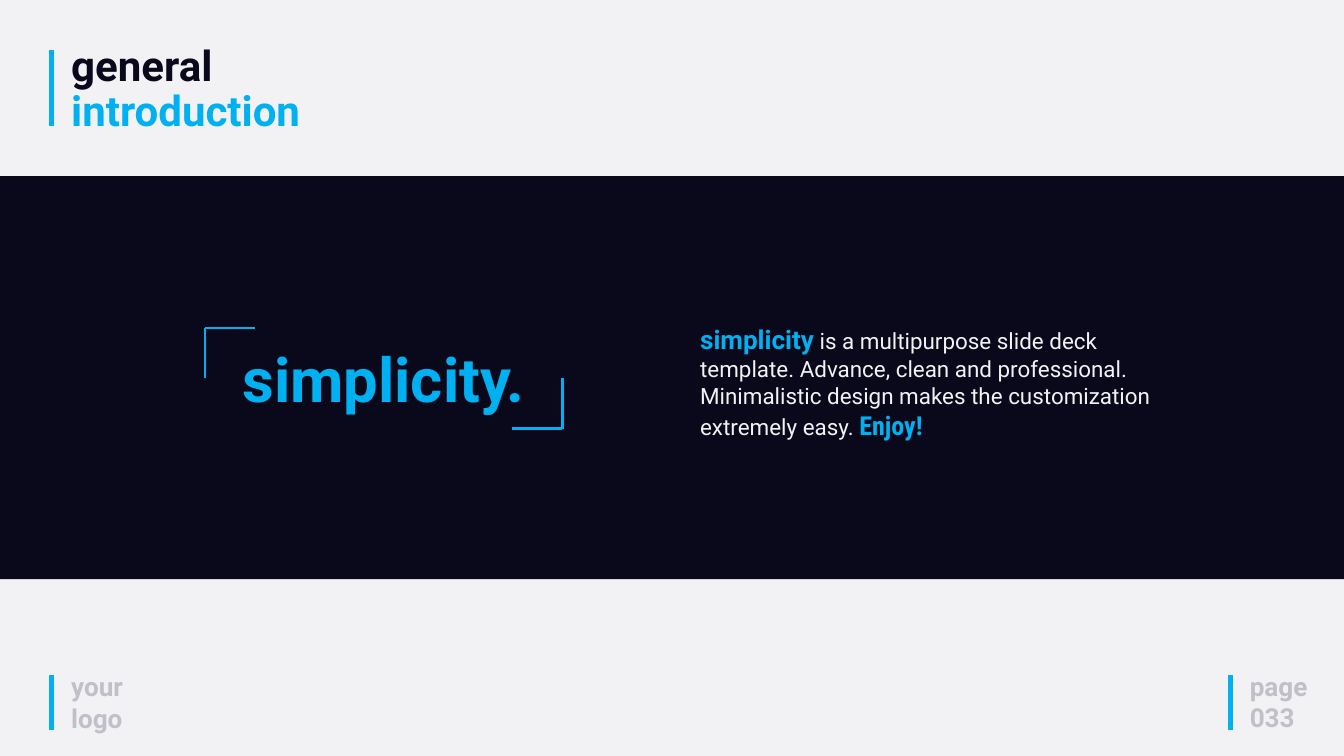
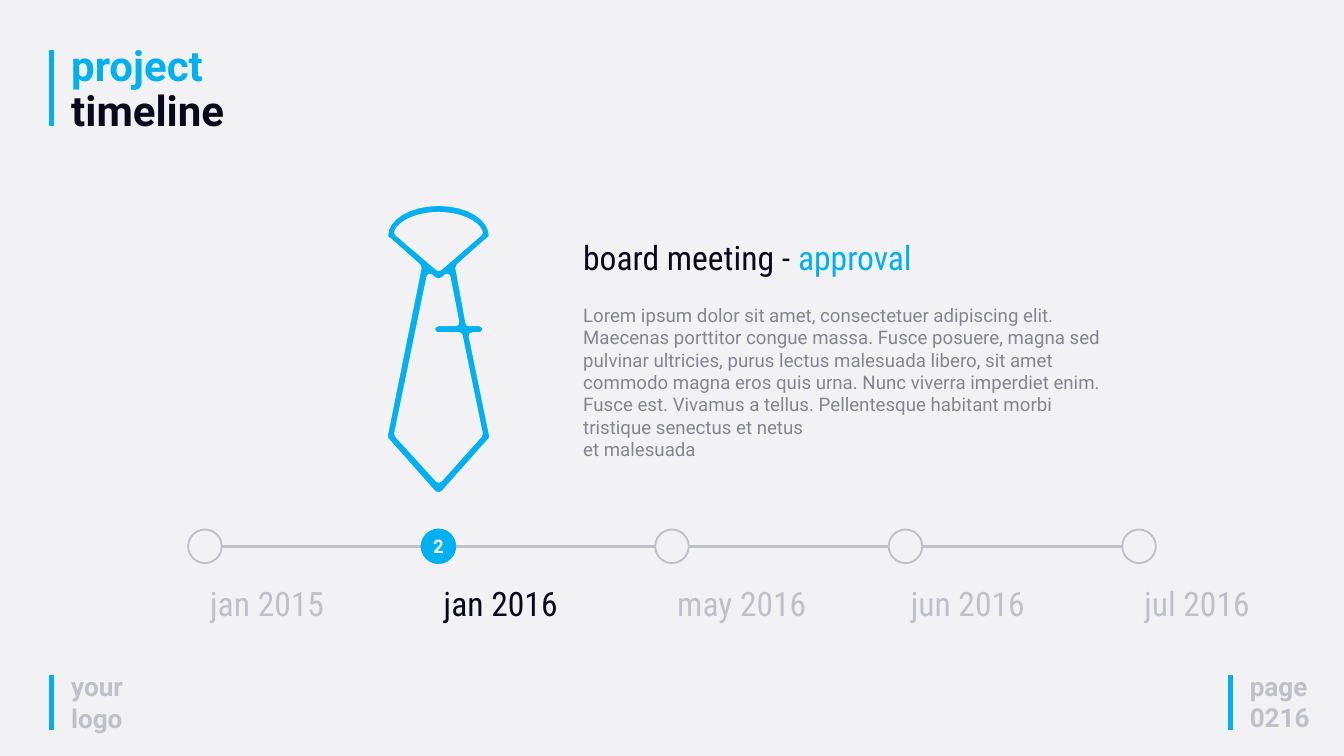
from lxml import etree
from pptx import Presentation
from pptx.dml.color import RGBColor
from pptx.enum.shapes import MSO_CONNECTOR, MSO_SHAPE
from pptx.enum.text import MSO_ANCHOR, MSO_AUTO_SIZE, PP_ALIGN
from pptx.oxml.ns import qn
from pptx.util import Inches, Pt

STRAIGHT = MSO_CONNECTOR.STRAIGHT
RECTANGLE, OVAL = MSO_SHAPE.RECTANGLE, MSO_SHAPE.OVAL
TOP, MIDDLE = MSO_ANCHOR.TOP, MSO_ANCHOR.MIDDLE
LEFT, CENTER = PP_ALIGN.LEFT, PP_ALIGN.CENTER
GROW = MSO_AUTO_SIZE.SHAPE_TO_FIT_TEXT

COLORS = {
    "accent": "00B0F0",
    "dark": "0A091B",
    "light": "F2F2F5",
    "muted": "C0C0C8",
    "body": "858591",
}
SANS, CONDENSED = "Roboto", "Roboto Condensed"
TITLE_ONLY = 5

# Each paragraph is a list of spans: (text, format that differs from the box).
INTRO = {
    "title": [("general", "dark"), ("introduction", "accent")],
    "title_box": (0.96, 0.62, 5.96, 1.46),
    "page": "033",
    "wordmark": "simplicity.",
    "pitch": [[
        ("simplicity", dict(size=28, color="accent", bold=True)),
        (" is a multipurpose slide deck template. Advance, clean and professional. "
         "Minimalistic design makes the customization extremely easy. ", {}),
        ("Enjoy!", dict(size=28, font=CONDENSED, color="accent", bold=True)),
    ]],
}
TIMELINE = {
    "title": [("project", "accent"), ("timeline", "dark")],
    "title_box": (0.96, 0.62, 9.04, 0.78),
    "page": "0216",
    "heading": [[("board meeting - ", {}), ("approval", dict(color="accent"))]],
    "details": [
        [("Lorem ipsum dolor sit amet, consectetuer adipiscing elit. Maecenas "
          "porttitor congue massa. Fusce posuere, magna sed pulvinar ultricies, "
          "purus lectus malesuada libero, sit amet commodo magna eros quis urna. "
          "Nunc viverra imperdiet enim. Fusce est. Vivamus a tellus. Pellentesque "
          "habitant morbi tristique senectus et netus", {})],
        [("et malesuada", {})],
    ],
    "dates": ["jan 2015", "jan 2016", "may 2016", "jun 2016", "jul 2016"],
    "active": 1,
}

# Contours in inches: a pair is a corner, six numbers are a cubic curve.
TIE = [
    [(7.33, 6.46), (7.03, 5), (7.13, 5),
     (7.18, 5, 7.23, 4.95, 7.23, 4.9), (7.23, 4.85, 7.18, 4.8, 7.13, 4.8),
     (6.98, 4.8), (6.83, 3.98), (7.28, 3.58), (7.31, 3.58, 7.33, 3.53, 7.33, 3.51),
     (7.33, 3.23, 6.98, 3.01, 6.53, 3.01), (6.07, 3.01, 5.72, 3.23, 5.72, 3.51),
     (5.72, 3.53, 5.74, 3.58, 5.77, 3.58), (6.22, 3.98), (5.72, 6.46), (5.72, 6.49),
     (5.72, 6.51, 5.72, 6.54, 5.74, 6.56), (6.45, 7.36),
     (6.47, 7.36, 6.5, 7.38, 6.53, 7.38), (6.55, 7.38, 6.58, 7.36, 6.6, 7.36),
     (7.31, 6.56), (7.33, 6.54, 7.33, 6.51, 7.33, 6.49)],
    [(5.92, 3.46), (5.97, 3.33, 6.22, 3.21, 6.53, 3.21),
     (6.83, 3.21, 7.08, 3.33, 7.13, 3.46), (6.53, 3.98)],
    [(6.53, 7.13), (5.92, 6.46), (6.4, 4.13), (6.45, 4.18), (6.47, 4.18),
     (6.5, 4.2, 6.5, 4.2, 6.53, 4.2), (6.55, 4.2, 6.55, 4.2, 6.58, 4.18),
     (6.6, 4.18), (6.65, 4.13), (6.78, 4.8), (6.53, 4.8),
     (6.47, 4.8, 6.42, 4.85, 6.42, 4.9), (6.42, 4.95, 6.47, 5, 6.53, 5),
     (6.83, 5), (7.13, 6.46)],
]
CURVE_STEPS = 8


def rgb(name):
    return RGBColor.from_string(COLORS[name])


def inches(values):
    return [Inches(value) for value in values]


def format_font(font, size, color, name, bold):
    font.size, font.name, font.bold = Pt(size), name, bold
    font.color.rgb = rgb(color)


def write_text(frame, paragraphs, size=24, color="dark", font=SANS, bold=False,
               align=LEFT, anchor=TOP):
    frame.word_wrap = True
    frame.vertical_anchor = anchor
    for index, spans in enumerate(paragraphs):
        para = frame.add_paragraph() if index else frame.paragraphs[0]
        para.alignment = align
        for text, changes in spans:
            look = {"size": size, "color": color, "font": font, "bold": bold, **changes}
            span = para.add_run()
            span.text = text
            format_font(span.font, look["size"], look["color"], look["font"], look["bold"])


def add_text(slide, box, paragraphs, **look):
    frame = slide.shapes.add_textbox(*inches(box)).text_frame
    write_text(frame, paragraphs, **look)
    frame.auto_size = GROW


def add_line(slide, start, end, color="accent", width=5):
    line = slide.shapes.add_connector(STRAIGHT, *inches(start + end))
    line.line.color.rgb = rgb(color)
    line.line.width = Pt(width)
    etree.SubElement(line._element.spPr, qn("a:effectLst"))


def style_shape(shape, fill, outline=None, width=2):
    shape.shadow.inherit = False
    shape.fill.solid()
    shape.fill.fore_color.rgb = rgb(fill)
    if outline:
        shape.line.color.rgb = rgb(outline)
        shape.line.width = Pt(width)
    else:
        shape.line.fill.background()


def flatten(contour):
    """Turn the cubic curves of a contour into short straight steps."""
    points = []
    for part in contour:
        if len(part) == 2:
            points.append(part)
            continue
        knots = [points[-1], part[:2], part[2:4], part[4:]]
        for step in range(1, CURVE_STEPS + 1):
            t = step / CURVE_STEPS
            weights = ((1 - t) ** 3, 3 * t * (1 - t) ** 2, 3 * t * t * (1 - t), t ** 3)
            points.append(tuple(sum(weight * knot[axis] for weight, knot in zip(weights, knots))
                                for axis in (0, 1)))
    return points


def add_tie(slide):
    # The builder rounds to whole units, so the points are given in EMU.
    outlines = [[inches(point) for point in flatten(contour)] for contour in TIE]
    builder = slide.shapes.build_freeform(*outlines[0][0], scale=1.0)
    for index, points in enumerate(outlines):
        if index:
            builder.move_to(*points[0])
        builder.add_line_segments(points[1:], close=True)
    style_shape(builder.convert_to_shape(), "accent", "light", 8)


def start_slide(deck, content):
    """Add a slide with its title, accent bars and footers."""
    slide = deck.slides.add_slide(deck.slide_layouts[TITLE_ONLY])
    title = slide.shapes.title
    title.left, title.top, title.width, title.height = inches(content["title_box"])
    (first, first_color), (second, second_color) = content["title"]
    look = dict(size=45, bold=True)
    write_text(title.text_frame, [[(first, dict(color=first_color))]], **look)
    para = title.text_frame.paragraphs[0]
    para.line_spacing = 0.9
    para.add_line_break()
    span = para.add_run()
    span.text = second
    format_font(span.font, 45, second_color, SANS, True)
    title.text_frame.auto_size = GROW

    for x, top, bottom in [(0.77, 0.75, 1.88), (0.77, 10.05, 10.86), (18.31, 10.05, 10.86)]:
        add_line(slide, (x, top), (x, bottom))
    footer = dict(size=28, color="muted", bold=True)
    add_text(slide, (0.96, 9.93, 1.19, 1.04), [[("your logo", {})]], **footer)
    add_text(slide, (18.5, 9.92, 1.9, 1.04),
             [[("page", {})], [(content["page"], {})]], **footer)
    return slide


def build_intro(deck):
    slide = start_slide(deck, INTRO)
    band = slide.shapes.add_shape(RECTANGLE, *inches((0, 2.62, 20, 6)))
    style_shape(band, "dark")
    add_text(slide, (10.32, 4.77, 7.04, 1.85), INTRO["pitch"], color="light")
    add_text(slide, (3.21, 5.02, 4.99, 1.21), [[(INTRO["wordmark"], {})]],
             size=66, color="accent", bold=True, align=CENTER)
    for x, y, arm in [(3.05, 4.88, 0.75), (8.37, 6.38, -0.75)]:
        add_line(slide, (x, y + arm), (x, y), width=3)
        add_line(slide, (x, y), (x + arm, y), width=3)


def build_timeline(deck):
    slide = start_slide(deck, TIMELINE)
    add_text(slide, (8.58, 3.47, 7.97, 0.71), TIMELINE["heading"], size=36, font=CONDENSED)
    add_text(slide, (8.58, 4.47, 8.12, 2.46), TIMELINE["details"], size=20, color="body")

    left, right, axis, dot = 2.8, 16.7, 8.13, 0.5
    dates = TIMELINE["dates"]
    gap = (right - left) / (len(dates) - 1)
    add_line(slide, (left + dot, axis), (right, axis), color="muted", width=3)
    for index, date in enumerate(dates):
        active = index == TIMELINE["active"]
        x = left + index * gap
        circle = slide.shapes.add_shape(OVAL, *inches((x, axis - dot / 2, dot, dot)))
        style_shape(circle, "accent" if active else "light", "accent" if active else "muted")
        if active:
            frame = circle.text_frame
            frame.margin_left = frame.margin_right = frame.margin_top = frame.margin_bottom = 0
            write_text(frame, [[(str(index + 1), {})]], size=20, color="light",
                       bold=True, align=CENTER, anchor=MIDDLE)
        add_text(slide, (x + 0.23, 8.62, 2.33, 0.71), [[(date, {})]], size=36,
                 font=CONDENSED, color="dark" if active else "muted")
    add_tie(slide)


def main():
    deck = Presentation()
    deck.slide_width, deck.slide_height = Inches(20), Inches(11.25)
    background = deck.slide_master.background.fill
    background.solid()
    background.fore_color.rgb = rgb("light")
    build_intro(deck)
    build_timeline(deck)
    deck.save("out.pptx")


if __name__ == "__main__":
    main()
